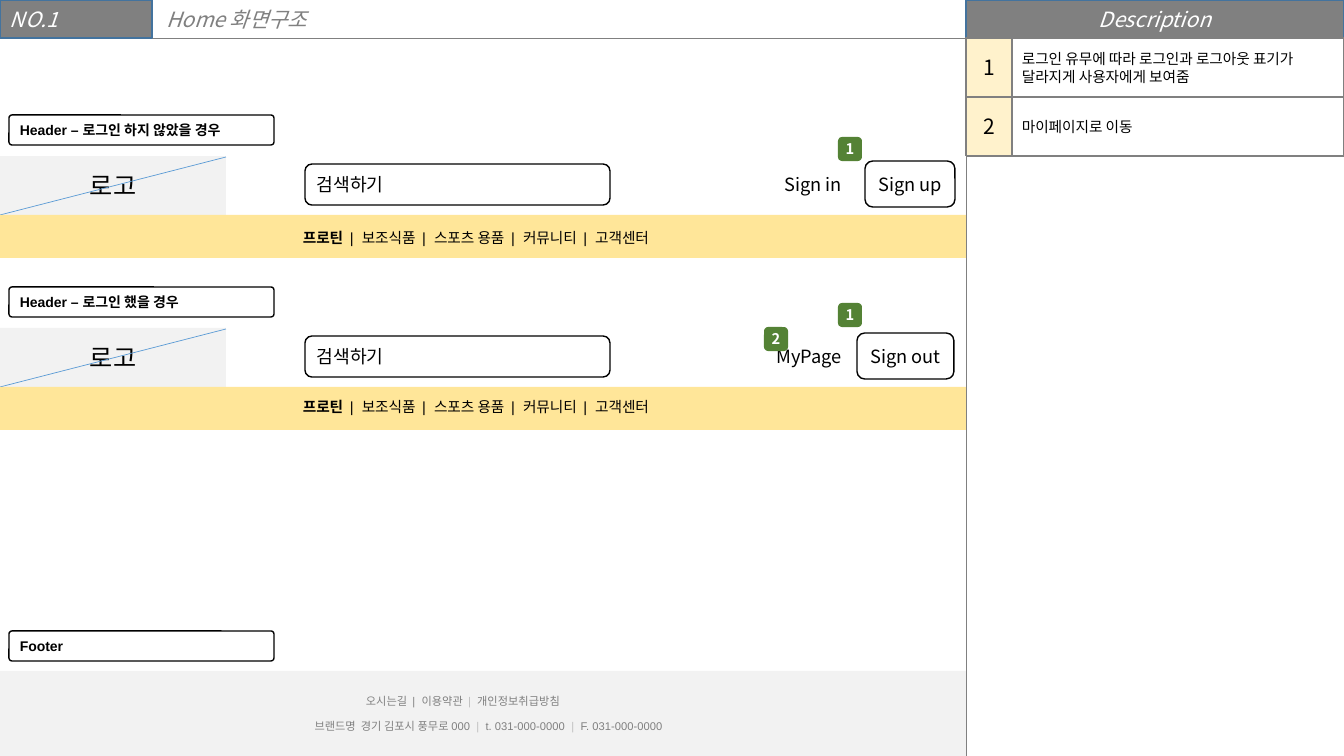
from lxml import etree
from pptx import Presentation, util as u
from pptx.dml.color import RGBColor
from pptx.enum import shapes, text
from pptx.oxml.ns import qn

# Content
TITLE = "Home 화면구조"
PAGE_NUMBER = "NO.1"
DESCRIPTION_HEAD = "Description"
DESCRIPTIONS = [
    "로그인 유무에 따라 로그인과 로그아웃 표기가 달라지게 사용자에게 보여줌",
    "마이페이지로 이동",
]
MENU = [("프로틴  ", {"bold": True}),
        ("|  보조식품  |  스포츠 용품  |  커뮤니티  |  고객센터", {})]
# Each header: top, label, (link, left, width), (button, left, width),
# menu top, badges as (number, left, top)
HEADERS = [
    (115, "Header – 로그인 하지 않았을 경우", ("Sign in", 768, 90),
     ("Sign up", 865, 90), 224, [("1", 838, 137)]),
    (287, "Header – 로그인 했을 경우", ("MyPage", 760, 98),
     ("Sign out", 857, 97), 393, [("1", 838, 303), ("2", 764, 327)]),
]
FOOTER_LABEL = "Footer"
PALE = {"color": "BFBFBF"}
FOOTER_LINKS = [("오시는길  |  이용약관  ", {}), ("|  ", PALE), ("개인정보취급방침", {})]
FOOTER_ADDRESS = [("브랜드명  경기 김포시 풍무로 000  ", {}), ("|  ", PALE),
                  ("t. 031-000-0000", {}), ("  |  ", PALE), ("F. 031-000-0000", {})]

# Sizes in px
PX = 914400 / 100.8
WIDTH, HEIGHT = 1344, 756
DIVIDER, BAR = 966, 38
NUMBER_WIDTH, ROW_HEIGHT = 46, 59
LOGO_WIDTH, MENU_HEIGHT, BADGE = 226, 43, 24
FOOTER_TOP = 671

# Text formats
SANS = "Noto Sans CJK KR"
HEADING = {"size": 15, "name": SANS, "italic": True, "color": "FFFFFF"}
NUMBER = {"size": 15, "name": SANS, "color": "000000"}
NOTE = {"size": 10.5, "name": SANS, "color": "000000"}
LOGO = {"size": 18, "name": SANS, "color": "000000"}
CONTROL = {"size": 13, "name": SANS, "color": "000000"}
BADGE_TEXT = {"size": 10.5, "name": SANS, "bold": True, "color": "FFFFFF"}
LABEL = {"size": 10, "name": "Arial", "bold": True, "color": "000000"}
MENU_TEXT = {"size": 10.5, "name": "Arial", "color": "000000"}
SMALL = {"size": 8, "name": "Arial", "color": "808080"}

RECT = shapes.MSO_SHAPE.RECTANGLE
ROUND = shapes.MSO_SHAPE.ROUNDED_RECTANGLE
LEFT, CENTER = text.PP_ALIGN.LEFT, text.PP_ALIGN.CENTER

deck = Presentation()


def px(*lengths):
    return [u.Emu(round(length * PX)) for length in lengths]


def rgb(value):
    return RGBColor.from_string(value)


def write(box, spans, style, align=LEFT, anchor=text.MSO_ANCHOR.MIDDLE):
    frame = box.text_frame
    frame.word_wrap = True
    frame.vertical_anchor = anchor
    para = frame.paragraphs[0]
    para.alignment = align
    if isinstance(spans, str):
        spans = [(spans, {})]
    for words, extra in spans:
        span = para.add_run()
        span.text = words
        for key, value in {**style, **extra}.items():
            if key == "color":
                span.font.color.rgb = rgb(value)
            else:
                setattr(span.font, key, u.Pt(value) if key == "size" else value)
        etree.SubElement(span.font._element, qn("a:ea"), typeface=SANS)


def add_box(kind, place, fill=None, line=None):
    box = page.shapes.add_shape(kind, *px(*place))
    box.shadow.inherit = False
    if fill:
        box.fill.solid()
        box.fill.fore_color.rgb = rgb(fill)
    else:
        box.fill.background()
    if line:
        box.line.color.rgb = rgb(line)
        box.line.width = u.Pt(1)
    else:
        box.line.fill.background()
    return box


def add_line(ends, color):
    line = page.shapes.add_connector(shapes.MSO_CONNECTOR.STRAIGHT, *px(*ends))
    line.line.color.rgb = rgb(color)
    line.line.width = u.Pt(0.5)
    etree.SubElement(line._element.spPr, qn("a:effectLst"))


def add_text(place, spans, style, align=LEFT):
    box = page.shapes.add_textbox(*px(*place))
    write(box, spans, style, align, text.MSO_ANCHOR.TOP)
    box.text_frame.auto_size = text.MSO_AUTO_SIZE.SHAPE_TO_FIT_TEXT


def add_label(top, words):
    box = add_box(ROUND, (9, top, 265, 30), "FFFFFF", "000000")
    box.adjustments[0] = 0.1
    write(box, words, LABEL)


def add_badge(number, left, top):
    box = add_box(ROUND, (left, top, BADGE, BADGE), "548235")
    box.text_frame.margin_left = box.text_frame.margin_right = 0
    write(box, number, BADGE_TEXT, CENTER)


def add_header(top, label, link, button, menu_top, badges):
    logo_top = top + 41
    band_top = logo_top + ROW_HEIGHT
    add_box(RECT, (0, logo_top, DIVIDER, ROW_HEIGHT), "FFFFFF")
    logo = add_box(RECT, (0, logo_top, LOGO_WIDTH, ROW_HEIGHT), "F2F2F2")
    write(logo, "로고", LOGO, CENTER)
    for (words, left, width), colors in ((button, ("FFFFFF", "000000")), (link, ())):
        control = add_box(ROUND, (left, top + 46, width, 46), *colors)
        write(control, words, CONTROL, CENTER)
    search = add_box(ROUND, (305, top + 49, 305, 41), "FFFFFF", "000000")
    write(search, "검색하기", CONTROL)
    add_line((0, band_top, LOGO_WIDTH, logo_top + 1), "5B9BD5")
    add_box(RECT, (0, band_top, DIVIDER, MENU_HEIGHT), "FFE699")
    add_text((293, menu_top, 448, 28), MENU, MENU_TEXT)
    add_label(top, label)
    for badge in badges:
        add_badge(*badge)


# Page and title bar
deck.slide_width, deck.slide_height = px(WIDTH, HEIGHT)
page = deck.slides.add_slide(deck.slide_layouts[5])
title = page.shapes.title
title.left, title.top, title.width, title.height = px(156, 2, 174, 35)
write(title, TITLE, {**HEADING, "color": "808080"})
add_line((0, BAR, WIDTH, BAR), "808080")
add_line((DIVIDER, 0, DIVIDER, HEIGHT), "808080")
write(add_box(RECT, (0, 0, 152, BAR), "808080", "43739E"), PAGE_NUMBER, HEADING)

# Description panel
panel_head = add_box(RECT, (DIVIDER, 0, WIDTH - DIVIDER, BAR), "808080", "43739E")
write(panel_head, DESCRIPTION_HEAD, HEADING, CENTER)
note_left = DIVIDER + NUMBER_WIDTH
for index, words in enumerate(DESCRIPTIONS):
    top = BAR + index * ROW_HEIGHT
    note = add_box(RECT, (note_left, top, WIDTH - note_left, ROW_HEIGHT), "FFFFFF", "808080")
    write(note, words, NOTE)
    number = add_box(RECT, (DIVIDER, top, NUMBER_WIDTH, ROW_HEIGHT), "FFF2CC", "808080")
    write(number, str(index + 1), NUMBER, CENTER)

# Headers
for header in HEADERS:
    add_header(*header)

# Footer
add_box(RECT, (0, FOOTER_TOP, DIVIDER, HEIGHT - FOOTER_TOP), "F2F2F2")
add_text((356, 689, 287, 24), FOOTER_LINKS, SMALL)
add_text((240, 714, 497, 24), FOOTER_ADDRESS, SMALL, CENTER)
add_label(631, FOOTER_LABEL)

deck.save("out.pptx")
